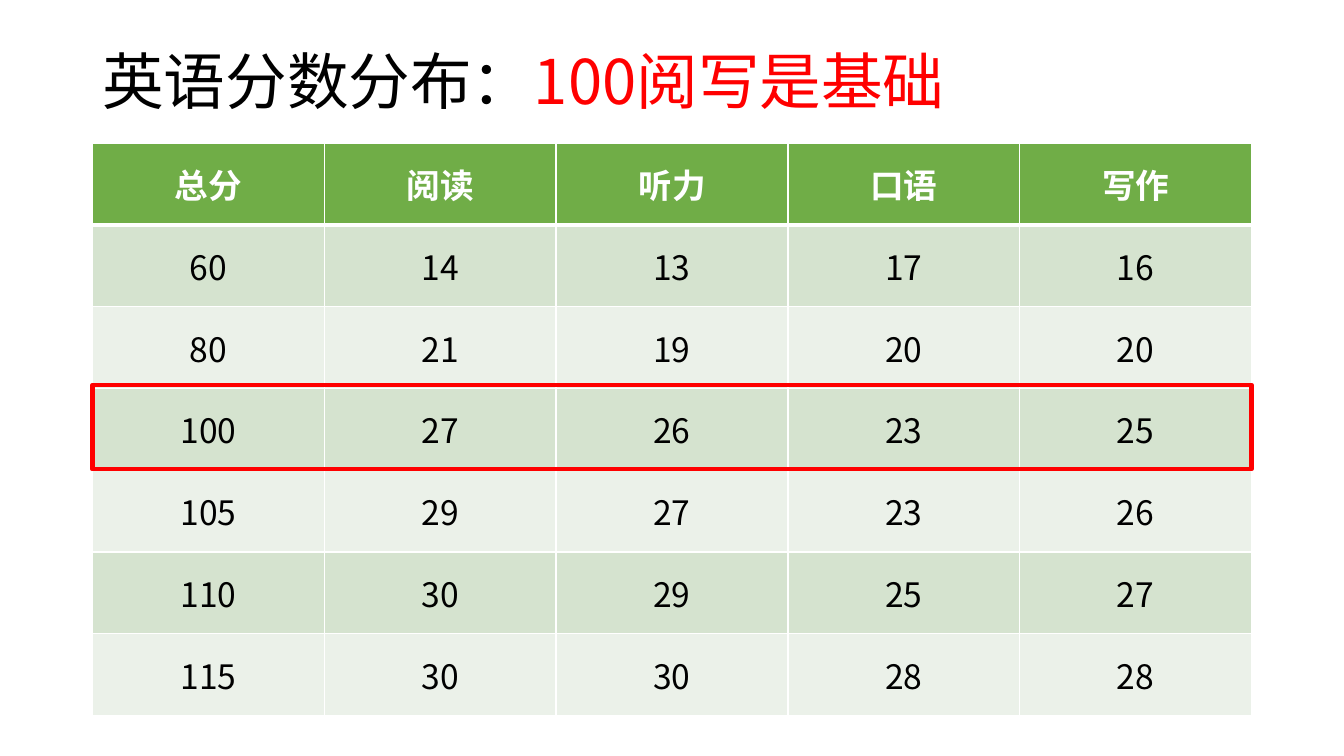
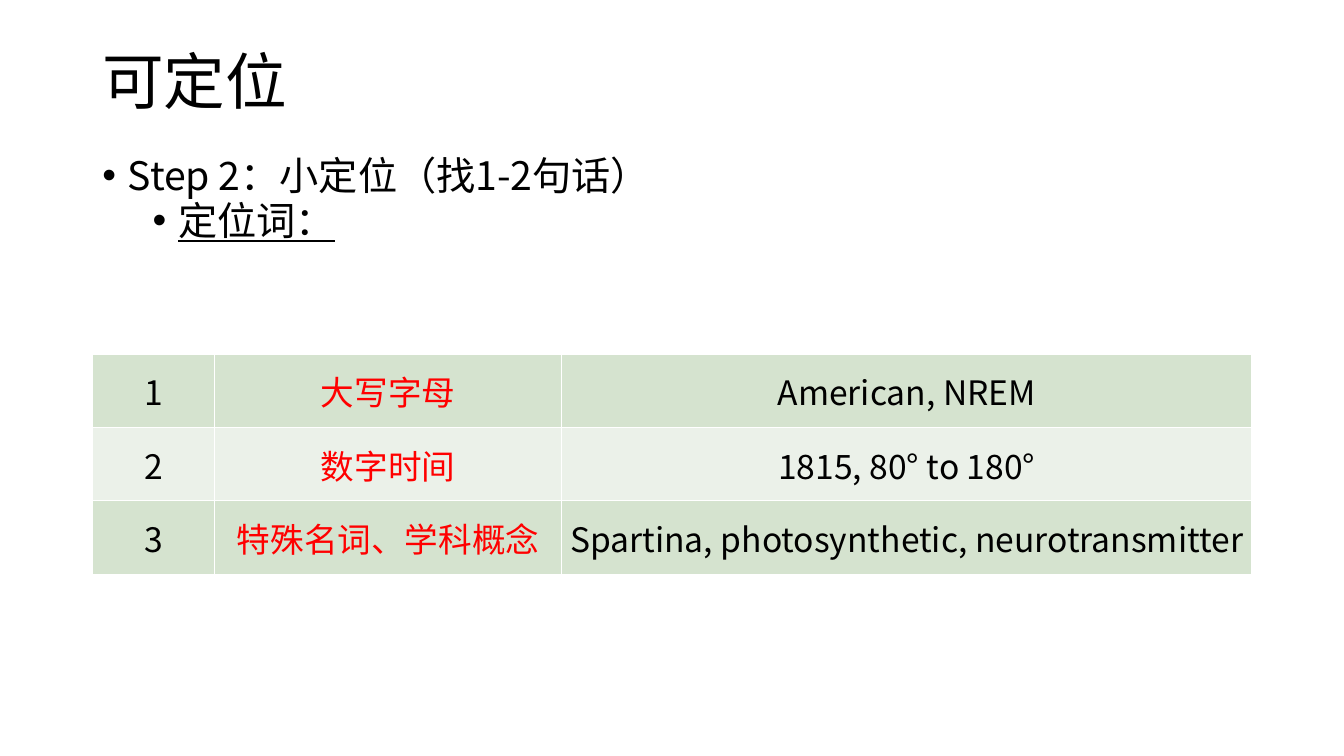
"""Two slides on English test scores and locating words."""
from dataclasses import dataclass
from lxml.etree import SubElement as Sub
from pptx import Presentation
from pptx.dml.color import RGBColor as RGB
from pptx.enum.shapes import MSO_SHAPE as Shape
from pptx.enum.text import MSO_ANCHOR as Anchor, PP_ALIGN as Align
from pptx.oxml import parse_xml
from pptx.oxml.ns import nsdecls, qn
from pptx.util import Cm, Pt


@dataclass(frozen=True)
class Theme:
    font: str = "Noto Sans CJK SC"
    ink: str = "000000"
    red: str = "FF0000"
    white: str = "FFFFFF"
    green: str = "70AD47"
    bands: tuple = ("D5E3CF", "EBF1E9")
    title: int = 44
    body: int = 28
    cell: int = 24
    rule: int = 1
    thick: int = 3
    left: float = 2.33
    width: float = 29.21


T = Theme()

SCORES = {
    "title": [("英语分数分布：", T.ink), ("100阅写是基础", T.red)],
    "head": ["总分", "阅读", "听力", "口语", "写作"],
    "rows": [
        [60, 14, 13, 17, 16],
        [80, 21, 19, 20, 20],
        [100, 27, 26, 23, 25],
        [105, 29, 27, 23, 26],
        [110, 30, 29, 25, 27],
        [115, 30, 30, 28, 28],
    ],
    "top": 3.61,
    "row": 2.06,
    "mark": 100,
}
WORDS = {
    "title": [("可定位", T.ink)],
    "points": ["Step 2：小定位（找1-2句话）", "定位词："],
    "rows": [
        [1, "大写字母", "American, NREM"],
        [2, "数字时间", "1815, 80° to 180°"],
        [3, "特殊名词、学科概念", "Spartina, photosynthetic, neurotransmitter"],
    ],
    "top": 8.92,
    "row": 1.85,
    "cols": [3.07, 8.76, 17.38],
}


def style(run, size, color, bold=False, under=False):
    font = run.font
    font.size, font.bold, font.underline = Pt(size), bold, under
    font.color.rgb = RGB.from_string(color)
    font.name = T.font
    Sub(run._r.get_or_add_rPr(), qn("a:ea"), typeface=T.font)


def add_box(slide, top, height, anchor):
    box = slide.shapes.add_textbox(Cm(T.left), Cm(top), Cm(T.width), Cm(height))
    frame = box.text_frame
    frame.word_wrap = True
    frame.vertical_anchor = anchor
    return frame


def add_title(slide, parts):
    para = add_box(slide, 1.02, 2.21, Anchor.MIDDLE).paragraphs[0]
    para.line_spacing = 0.9
    for text, color in parts:
        run = para.add_run()
        run.text = text
        style(run, T.title, color)


def add_points(slide, points):
    frame = add_box(slide, 3.81, 4.5, Anchor.TOP)
    frame.text = "\n".join(points)
    for level, para in enumerate(frame.paragraphs):
        props = para._p.get_or_add_pPr()
        props.set("marL", str(Cm(0.64 + 1.27 * level)))
        props.set("indent", str(-Cm(0.64)))
        para.line_spacing = 0.9
        if level:
            para.level = level
            para.space_before = Pt(2)
        Sub(props, qn("a:buFont"), typeface="Arial")
        Sub(props, qn("a:buChar"), char="•")
        style(para.runs[0], T.body, T.ink, under=level > 0)


def set_edges(cell, above, below):
    props = cell._tc.get_or_add_tcPr()
    sides = {"L": T.rule, "R": T.rule, "T": above, "B": below}
    for spot, (side, width) in enumerate(sides.items()):
        line = parse_xml(
            f'<a:ln{side} {nsdecls("a")} w="{Pt(width)}"><a:solidFill>'
            f'<a:srgbClr val="{T.white}"/></a:solidFill></a:ln{side}>'
        )
        props.insert(spot, line)


def add_grid(slide, data, tint, inset=None):
    head = [data["head"]] if "head" in data else []
    rows = head + data["rows"]
    count = len(rows[0])
    cols = data.get("cols", [T.width / count] * count)
    grid = slide.shapes.add_table(
        len(rows), count, Cm(T.left), Cm(data["top"]),
        Cm(T.width), Cm(data["row"] * len(rows)),
    ).table
    grid.first_row = grid.horz_banding = False
    for col, width in zip(grid.columns, cols):
        col.width = Cm(width)
    for r, row in enumerate(rows):
        grid.rows[r].height = Cm(data["row"])
        band = r - len(head)
        top = band < 0
        for c, value in enumerate(row):
            cell = grid.cell(r, c)
            cell.text_frame.text = str(value)
            cell.vertical_anchor = Anchor.MIDDLE
            if inset is not None:
                cell.margin_left = cell.margin_right = Cm(inset)
                cell.margin_top, cell.margin_bottom = Cm(inset), 0
            para = cell.text_frame.paragraphs[0]
            para.alignment = Align.CENTER
            style(para.runs[0], T.cell, T.white if top else tint.get(c, T.ink), top)
            cell.fill.solid()
            cell.fill.fore_color.rgb = RGB.from_string(T.green if top else T.bands[band % 2])
            above = T.thick if head and band == 0 else T.rule
            set_edges(cell, above, T.thick if top else T.rule)


def add_mark(slide, data):
    place = 1 + [row[0] for row in data["rows"]].index(data["mark"])
    top = data["top"] + place * data["row"] - 0.09
    mark = slide.shapes.add_shape(
        Shape.RECTANGLE, Cm(T.left), Cm(top), Cm(T.width), Cm(2.13)
    )
    mark.shadow.inherit = False
    mark.fill.background()
    mark.line.color.rgb = RGB.from_string(T.red)
    mark.line.width = Pt(T.thick)


def main():
    deck = Presentation()
    deck.slide_width, deck.slide_height = Cm(33.87), Cm(19.05)
    scores, words = (deck.slides.add_slide(deck.slide_layouts[6]) for _ in range(2))
    add_title(scores, SCORES["title"])
    add_grid(scores, SCORES, {})
    add_mark(scores, SCORES)
    add_title(words, WORDS["title"])
    add_points(words, WORDS["points"])
    add_grid(words, WORDS, {1: T.red}, inset=0.02)
    deck.save("out.pptx")


if __name__ == "__main__":
    main()
